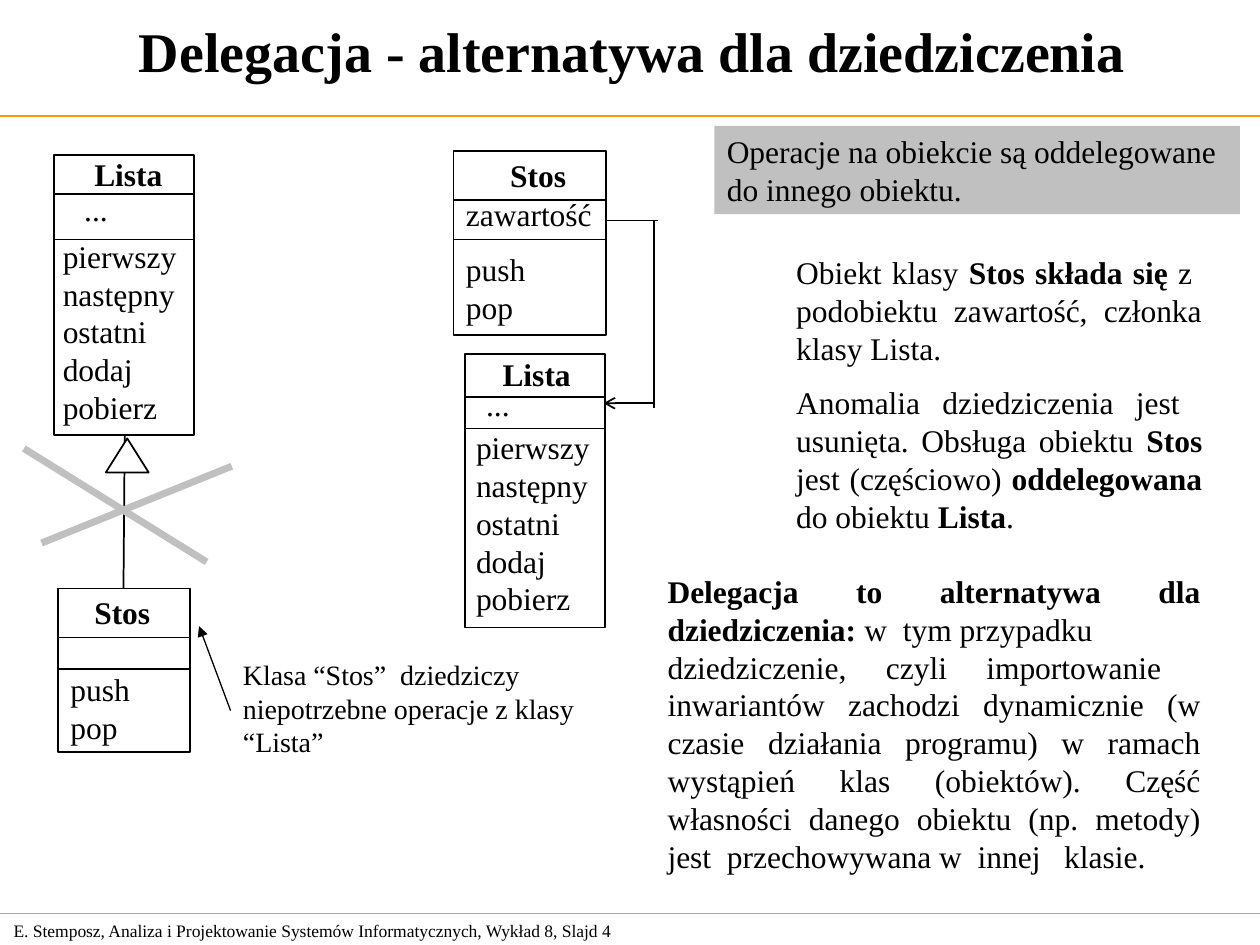
from pptx import Presentation
from pptx.dml.color import RGBColor
from pptx.enum.shapes import MSO_CONNECTOR as Link, MSO_SHAPE as Kind
from pptx.enum.text import MSO_ANCHOR as Anchor, PP_ALIGN as Align
from pptx.oxml.xmlchemy import OxmlElement as Node
from pptx.util import Inches, Pt

FONT = "Times New Roman"
BLACK, WHITE, GRAY, ORANGE = "000000", "FFFFFF", "C0C0C0", "FF9900"
LISTA = ["pierwszy", "następny", "ostatni", "dodaj", "pobierz"]
STOS = ["push", "pop"]


def color(code):
    return RGBColor.from_string(code)


def write(frame, paras, size=18, align=Align.LEFT, gaps=(), wrap=True):
    frame.word_wrap = wrap
    for i, words in enumerate(paras):
        para = frame.add_paragraph() if i else frame.paragraphs[0]
        para.alignment = align
        if i in gaps:
            para.space_before = Pt(9.6)
        for j, part in enumerate(words.split("*")):
            if part:
                run = para.add_run()
                run.text = part
                font = run.font
                font.name, font.size, font.bold = FONT, Pt(size), j % 2 == 1
                font.color.rgb = color(BLACK)


def text(slide, area, paras, anchor=Anchor.TOP, **style):
    frame = slide.shapes.add_textbox(*map(Inches, area)).text_frame
    frame.vertical_anchor = anchor
    write(frame, paras, **style)


def label(slide, left, top, paras, gaps=()):
    high = 0.1 + 0.3 * len(paras)
    text(slide, (left, top, 1.4, high), paras, gaps=gaps, wrap=False)


def shape(slide, kind, area, fill=None, edge=None):
    item = slide.shapes.add_shape(kind, *map(Inches, area))
    item.shadow.inherit = False
    if fill:
        item.fill.solid()
        item.fill.fore_color.rgb = color(fill)
    else:
        item.fill.background()
    if edge:
        item.line.color.rgb = color(edge)
        item.line.width = Pt(1)
    else:
        item.line.fill.background()
    return item


def line(slide, ends, edge=BLACK, width=1, head=None):
    item = slide.shapes.add_connector(Link.STRAIGHT, *map(Inches, ends))
    item.line.color.rgb = color(edge)
    item.line.width = Pt(width)
    if head:
        tip = Node("a:tailEnd")
        tip.set("type", head)
        item.line._get_or_add_ln().append(tip)
    item._element.spPr.append(Node("a:effectLst"))


def block(slide, area, cuts, name, spot):
    shape(slide, Kind.RECTANGLE, area, edge=BLACK)
    left, _, wide, _ = area
    for y in cuts:
        line(slide, (left, y, left + wide, y))
    label(slide, *spot, [f"*{name}*"])


def frame(slide):
    for y in (0.92, 7.25):
        line(slide, (0, y, 10, y), ORANGE, 0.75)
    text(slide, (0.06, -0.03, 9.92, 0.85),
         ["*Delegacja - alternatywa dla dziedziczenia*"],
         Anchor.MIDDLE, size=32, align=Align.CENTER)
    text(slide, (0.01, 7.25, 5.24, 0.27),
         ["E. Stemposz, Analiza i Projektowanie Systemów Informatycznych, "
          "Wykład 8, Slajd 4"], Anchor.MIDDLE, size=10)


def inherit(slide):
    block(slide, (0.43, 1.23, 1.11, 2.22), (1.54, 1.9), "Lista", (0.65, 1.18))
    label(slide, 0.57, 1.46, ["..."])
    label(slide, 0.4, 1.83, LISTA)
    block(slide, (0.46, 4.67, 1.05, 1.3), (5.06, 5.31), "Stos", (0.65, 4.66))
    label(slide, 0.46, 5.27, STOS)
    line(slide, (0.99, 3.45, 0.98, 4.67))
    shape(slide, Kind.ISOSCELES_TRIANGLE, (0.84, 3.48, 0.34, 0.27), WHITE, BLACK)
    for ends in ((0.19, 3.56, 1.64, 4.46), (1.84, 3.7, 0.33, 4.31)):
        line(slide, ends, GRAY, 4)
    text(slide, (1.83, 5.17, 3.17, 0.9),
         ["Klasa “Stos”  dziedziczy  niepotrzebne operacje z klasy  “Lista”"],
         size=16)
    line(slide, (1.83, 5.64, 1.58, 4.97), width=0.75, head="triangle")


def delegate(slide):
    block(slide, (3.6, 1.2, 1.21, 1.46), (1.59, 1.9), "Stos", (3.95, 1.19))
    label(slide, 3.6, 1.5, ["zawartość"] + STOS, gaps=(1,))
    block(slide, (3.69, 2.81, 1.11, 2.17), (3.15, 3.4), "Lista", (3.89, 2.77))
    label(slide, 3.76, 3.01, ["..."])
    label(slide, 3.68, 3.35, LISTA)
    line(slide, (4.81, 1.75, 5.22, 1.75))
    line(slide, (5.19, 1.75, 5.19, 3.24))
    line(slide, (5.19, 3.2, 4.79, 3.2), head="arrow")


def notes(slide):
    panel = shape(slide, Kind.RECTANGLE, (5.67, 1, 4.17, 0.7), GRAY)
    panel.text_frame.vertical_anchor = Anchor.TOP
    write(panel.text_frame,
          ["Operacje na obiekcie są oddelegowane do innego obiektu."])
    text(slide, (6.22, 1.96, 3.42, 2.33),
         ["Obiekt klasy *Stos składa się *z  podobiektu zawartość, "
          "członka klasy Lista.",
          "Anomalia dziedziczenia jest  usunięta. Obsługa obiektu *Stos *"
          "jest (częściowo) *oddelegowana *do obiektu *Lista*."],
         align=Align.JUSTIFY, gaps=(1,))
    text(slide, (5.2, 4.49, 4.43, 2.5),
         ["*Delegacja to alternatywa dla dziedziczenia: *w  tym przypadku",
          "dziedziczenie, czyli importowanie  inwariantów zachodzi "
          "dynamicznie (w czasie działania programu) w ramach wystąpień "
          "klas (obiektów). Część własności danego obiektu (np. metody) "
          "jest  przechowywana w  innej   klasie."],
         align=Align.JUSTIFY)


def main():
    deck = Presentation()
    deck.slide_width, deck.slide_height = Inches(10), Inches(7.5)
    slide = deck.slides.add_slide(deck.slide_layouts[6])
    for part in (frame, inherit, delegate, notes):
        part(slide)
    deck.save("out.pptx")


if __name__ == "__main__":
    main()
